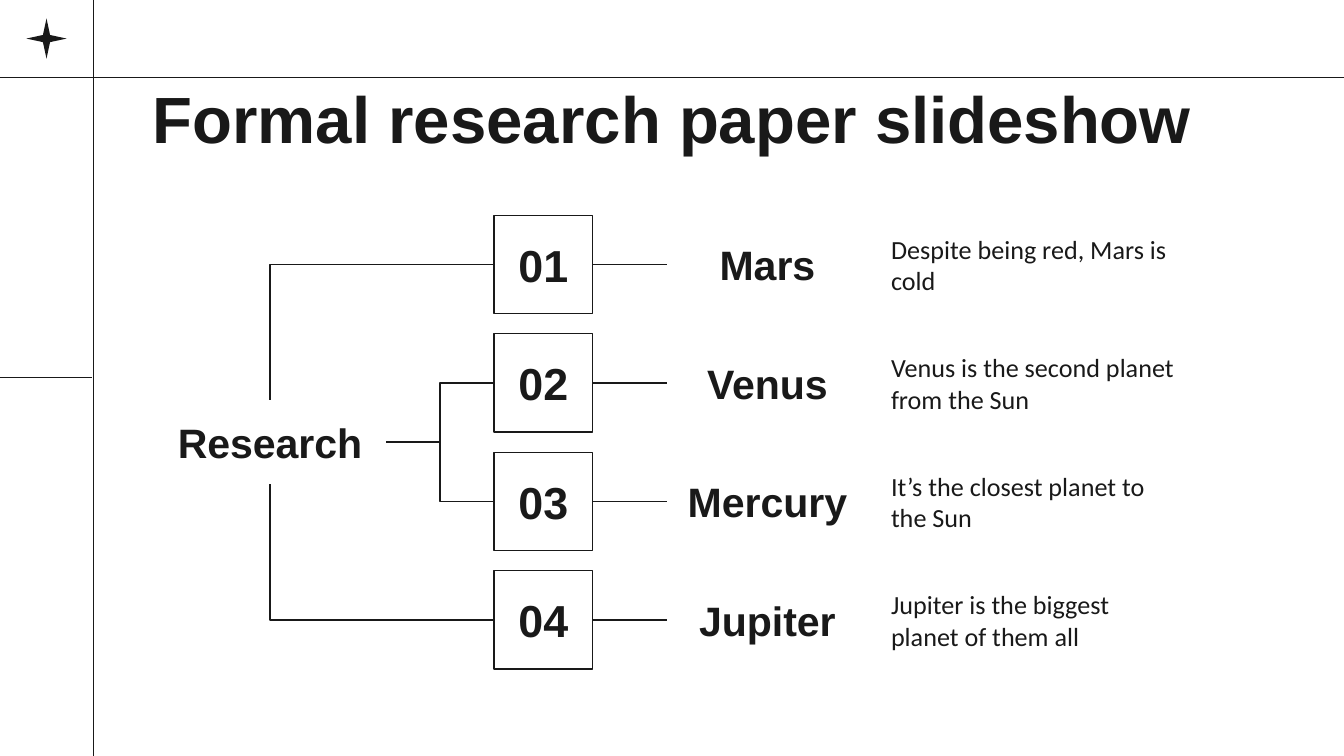
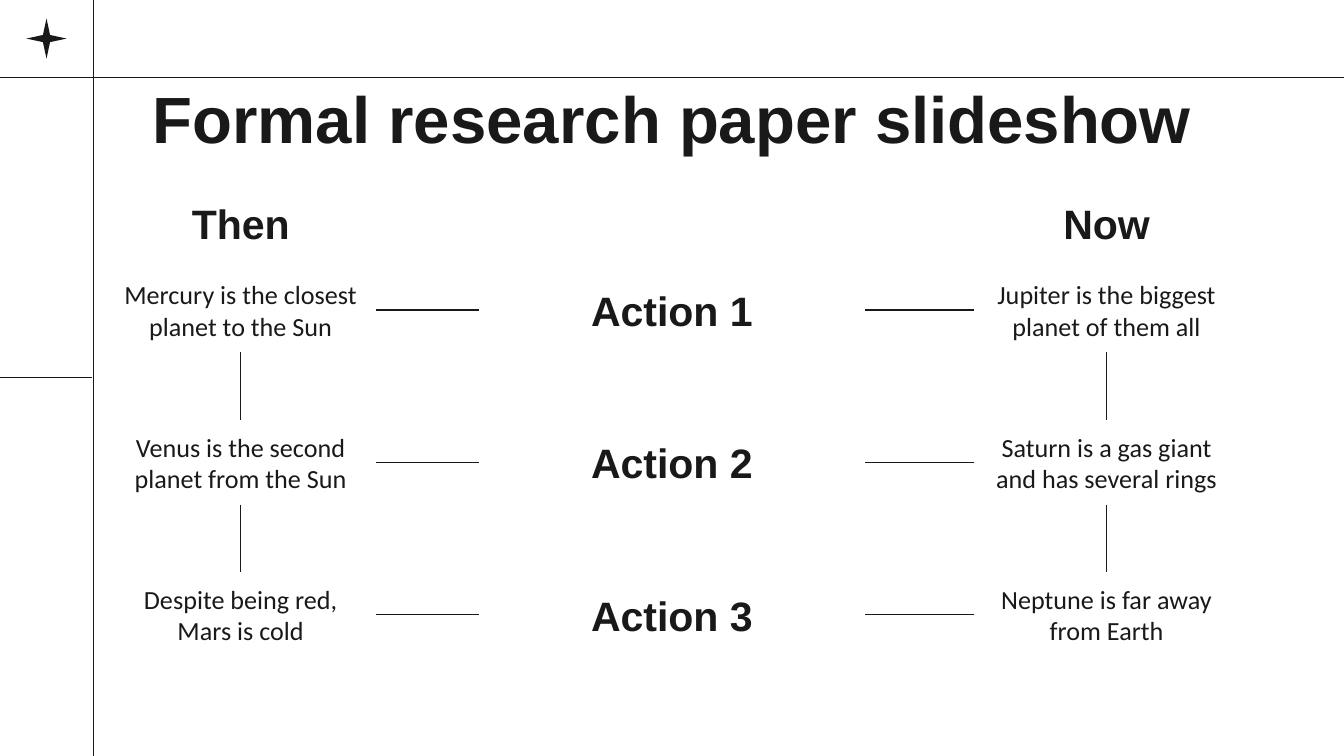
from pptx import Presentation
from pptx.dml.color import RGBColor
from pptx.enum.shapes import MSO_CONNECTOR, MSO_SHAPE
from pptx.enum.text import MSO_ANCHOR, MSO_AUTO_SIZE, PP_ALIGN
from pptx.oxml.ns import qn
from pptx.util import Cm, Pt
from lxml.etree import SubElement

COLORS = {"ink": "191919", "paper": "FFFFFF"}
INK = RGBColor.from_string(COLORS["ink"])
STYLES = {
    "title": ("Arial", 35, True),
    "number": ("Arial", 24, True),
    "heading": ("Arial", 22, True),
    "body": ("Calibri", 14, False),
}
TITLE = "Formal research paper slideshow"
ROW_H = 1.6


def write(sp, words, style, align=PP_ALIGN.CENTER, anchor=MSO_ANCHOR.MIDDLE):
    tf = sp.text_frame
    tf.text = words
    tf.word_wrap = True
    tf.auto_size = MSO_AUTO_SIZE.NONE
    tf.vertical_anchor = anchor
    tf.margin_left = tf.margin_right = tf.margin_top = tf.margin_bottom = Cm(0.25)
    p = tf.paragraphs[0]
    p.alignment = align
    p.font.name, size, p.font.bold = STYLES[style]
    p.font.size = Pt(size)
    p.font.color.rgb = INK
    return sp


def draw_line(s, points=(0, 0, 0, 0), begin=None, end=None, kind=MSO_CONNECTOR.STRAIGHT):
    c = s.shapes.add_connector(kind, *[Cm(v) for v in points])
    if begin:
        c.begin_connect(*begin)
        c.end_connect(*end)
    c.line.color.rgb = INK
    c.line.width = Pt(0.75)
    SubElement(c.element.spPr, qn("a:effectLst"))
    return c


prs = Presentation()
prs.slide_width, prs.slide_height = Cm(25.4), Cm(14.29)

for _ in range(2):
    s = prs.slides.add_slide(prs.slide_layouts[5])
    s.background.fill.solid()
    s.background.fill.fore_color.rgb = RGBColor.from_string(COLORS["paper"])
    for points in [(-0.05, 7.14, 1.73, 7.14), (-0.1, 1.47, 25.5, 1.47), (1.77, -0.08, 1.77, 14.38)]:
        draw_line(s, points)
    star = s.shapes.add_shape(MSO_SHAPE.STAR_4_POINT, Cm(0.5), Cm(0.35), Cm(0.76), Cm(0.76))
    star.adjustments[0] = 0.125
    star.shadow.inherit = False
    star.fill.solid()
    star.fill.fore_color.rgb = INK
    star.line.fill.background()
    title = s.shapes.title
    title.left, title.top, title.width, title.height = Cm(2), Cm(1.48), Cm(21.42), Cm(1.73)
    write(title, TITLE, "title", anchor=MSO_ANCHOR.BOTTOM)

tree, actions = prs.slides

research = tree.shapes.add_textbox(Cm(2.92), Cm(7.56), Cm(4.37), Cm(ROW_H))
write(research, "Research", "heading")
branches = [
    ("Mars", "Despite being red, Mars is cold", 0),
    ("Venus", "Venus is the second planet from the Sun", 3),
    ("Mercury", "It’s the closest planet to the Sun", 3),
    ("Jupiter", "Jupiter is the biggest planet of them all", 2),
]
for i, (planet, fact, site) in enumerate(branches):
    y = 4.07 + 2.24 * i
    name = tree.shapes.add_textbox(Cm(12.6), Cm(y + 0.13), Cm(3.81), Cm(ROW_H))
    write(name, planet, "heading")
    detail = tree.shapes.add_textbox(Cm(16.59), Cm(y + 0.13), Cm(5.89), Cm(ROW_H))
    write(detail, fact, "body", PP_ALIGN.LEFT)
    box = tree.shapes.add_shape(MSO_SHAPE.RECTANGLE, Cm(9.34), Cm(y), Cm(1.86), Cm(1.86))
    box.shadow.inherit = False
    box.fill.background()
    box.line.color.rgb = INK
    box.line.width = Pt(0.75)
    write(box, f"{i + 1:02}", "number")
    draw_line(tree, begin=(name, 1), end=(box, 3))
    elbow = draw_line(tree, begin=(box, 1), end=(research, site), kind=MSO_CONNECTOR.ELBOW)
    if site != 3:
        elbow.element.spPr.find(qn("a:prstGeom")).set("prst", "bentConnector2")

columns = [
    (2, 5.1, "Then", "body", [
        "Mercury is the closest planet to the Sun",
        "Venus is the second planet from the Sun",
        "Despite being red, Mars is cold",
    ]),
    (9.05, 7.3, None, "heading", ["Action 1", "Action 2", "Action 3"]),
    (18.4, 5.03, "Now", "body", [
        "Jupiter is the biggest planet of them all",
        "Saturn is a gas giant and has several rings",
        "Neptune is far away from Earth",
    ]),
]
grid = []
for x, w, head, style, items in columns:
    if head:
        sp = actions.shapes.add_textbox(Cm(x), Cm(3.33), Cm(w), Cm(ROW_H))
        write(sp, head, "heading", anchor=MSO_ANCHOR.BOTTOM)
    cells = []
    for i, words in enumerate(items):
        sp = actions.shapes.add_textbox(Cm(x), Cm(5.06 + 2.88 * i), Cm(w), Cm(ROW_H))
        cells.append(write(sp, words, style))
    grid.append(cells)
    if head:
        for upper, lower in zip(cells, cells[1:]):
            draw_line(actions, begin=(upper, 2), end=(lower, 0))

for then, action, now in zip(*grid):
    draw_line(actions, begin=(then, 3), end=(action, 1))
    draw_line(actions, begin=(action, 3), end=(now, 1))

prs.save("out.pptx")
